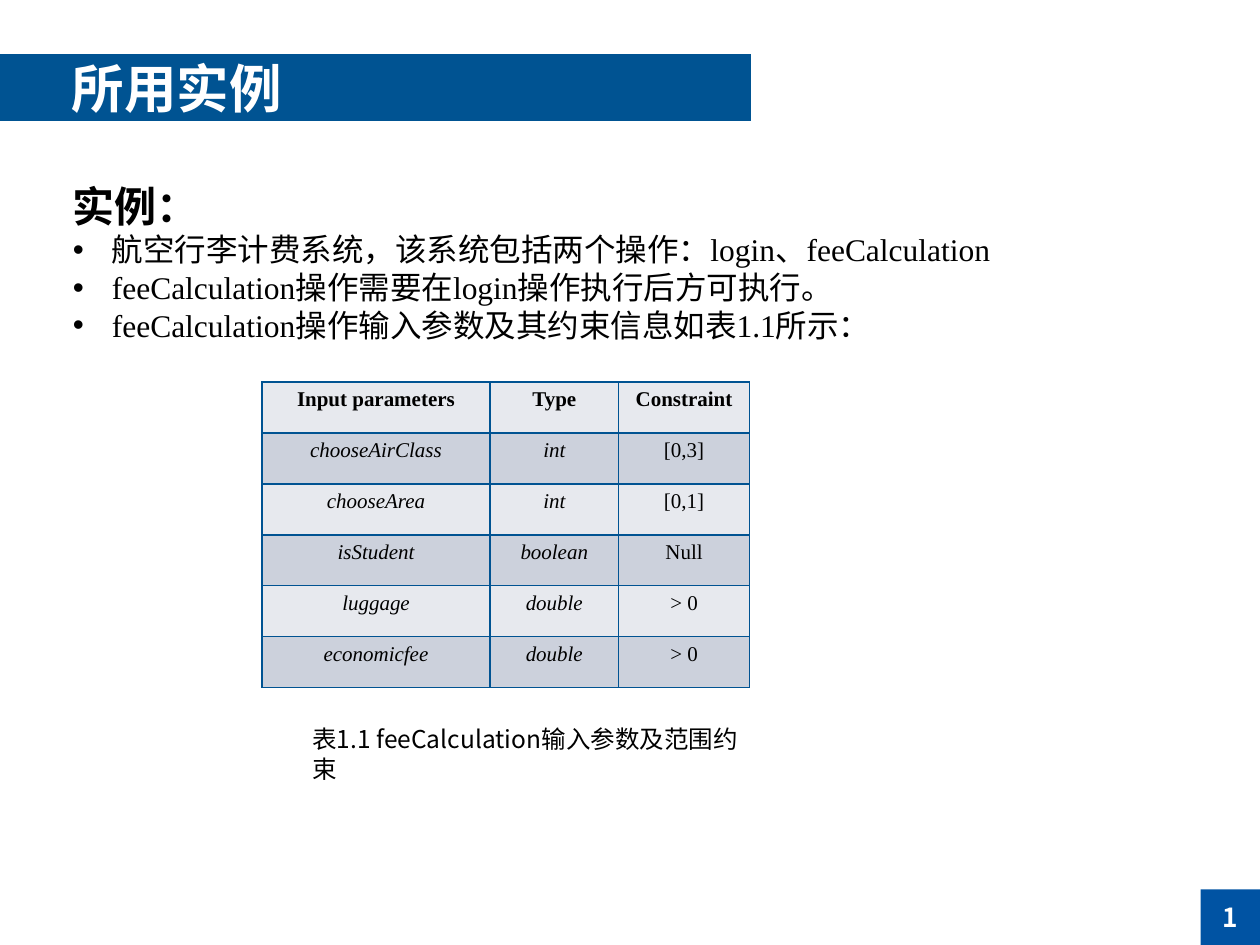
from dataclasses import dataclass

from lxml import etree
from pptx import Presentation
from pptx import util as u
from pptx.dml.color import RGBColor
from pptx.enum import shapes, text
from pptx.oxml import ns


@dataclass(frozen=True)
class Theme:
    """Colours, fonts and type sizes of the slide."""
    banner: str = "005392"
    badge: str = "0053A3"
    light: str = "FFFFFF"
    dark: str = "000000"
    bands: tuple = ("E7E9EE", "CCD1DC")
    title_font: str = "Noto Sans CJK JP"
    body_font: str = "Noto Sans CJK SC"
    serif: str = "Times New Roman"
    title: int = 30
    heading: int = 24
    body: int = 18
    badge_size: int = 15
    caption: int = 14
    cell: int = 12


THEME = Theme()
PARAMETERS = [
    ("Input parameters", "Type", "Constraint"),
    ("chooseAirClass", "int", "[0,3]"),
    ("chooseArea", "int", "[0,1]"),
    ("isStudent", "boolean", "Null"),
    ("luggage", "double", "> 0"),
    ("economicfee", "double", "> 0"),
]
POINTS = [
    [("航空行李计费系统，该系统包括两个操作", THEME.body_font),
     ("：login、feeCalculation", THEME.serif)],
    [("feeCalculation操作需要在login操作执行后方可执行。", THEME.serif)],
    [("feeCalculation操作输入参数及其约束信息如表1.1所示：", THEME.serif)],
]


def apply(target, values):
    """Set each attribute in values on target."""
    for name, value in values.items():
        setattr(target, name, value)


def add_run(paragraph, wording, size, font=THEME.body_font, color=THEME.dark,
            east_asian=THEME.body_font, **styles):
    """Append formatted text with Latin and East Asian fonts."""
    run = paragraph.add_run()
    run.text = wording
    apply(run.font, {"name": font, "size": u.Pt(size), **styles})
    run.font.color.rgb = RGBColor.from_string(color)
    latin = run.font._element.find(ns.qn("a:latin"))
    latin.addnext(etree.Element(ns.qn("a:ea"), typeface=east_asian))


def add_panel(slide, box, color):
    """Add a plain filled rectangle and return its first paragraph."""
    panel = slide.shapes.add_shape(shapes.MSO_SHAPE.RECTANGLE, *map(u.Inches, box))
    panel.shadow.inherit = False
    panel.fill.solid()
    panel.fill.fore_color.rgb = RGBColor.from_string(color)
    panel.line.fill.background()
    panel.text_frame.vertical_anchor = text.MSO_ANCHOR.MIDDLE
    return panel.text_frame


def add_text_area(slide, box):
    """Add a wrapping text box and return its text frame."""
    frame = slide.shapes.add_textbox(*map(u.Inches, box)).text_frame
    apply(frame, {"word_wrap": True, "auto_size": text.MSO_AUTO_SIZE.SHAPE_TO_FIT_TEXT})
    return frame


def add_bullet(frame, parts):
    """Append a bulleted paragraph with a hanging indent."""
    point = frame.add_paragraph()
    properties = point._p.get_or_add_pPr()
    indent = u.Inches(0.31)
    properties.set("marL", str(indent))
    properties.set("indent", str(-indent))
    etree.SubElement(properties, ns.qn("a:buFont"), typeface="Arial")
    etree.SubElement(properties, ns.qn("a:buChar"), char="•")
    for wording, font in parts:
        add_run(point, wording, THEME.body, font)


def style_cell(cell, band):
    """Give a cell its borders and band colour."""
    properties = cell._tc.get_or_add_tcPr()
    for side in ("a:lnL", "a:lnR", "a:lnT", "a:lnB"):
        border = etree.SubElement(properties, ns.qn(side), w=str(u.Pt(1)))
        paint = etree.SubElement(border, ns.qn("a:solidFill"))
        etree.SubElement(paint, ns.qn("a:srgbClr"), val=THEME.banner)
    cell.fill.solid()
    cell.fill.fore_color.rgb = RGBColor.from_string(band)


def add_parameter_table(slide):
    """Add the table of inputs, with an italic name and type."""
    box = map(u.Inches, (2.08, 3.03, 3.87, 2.43))
    table = slide.shapes.add_table(len(PARAMETERS), 3, *box).table
    for column, width in zip(table.columns, (1.81, 1.02, 1.04)):
        column.width = u.Inches(width)
    for r, record in enumerate(PARAMETERS):
        for c, wording in enumerate(record):
            cell = table.cell(r, c)
            style_cell(cell, THEME.bands[r % 2])
            entry = cell.text_frame.paragraphs[0]
            entry.alignment = text.PP_ALIGN.CENTER
            add_run(entry, wording, THEME.cell, THEME.serif,
                    bold=r == 0, italic=r > 0 and c < 2)


def add_banner(slide):
    """Add the title band."""
    frame = add_panel(slide, (0, 0.43, 5.96, 0.53), THEME.banner)
    apply(frame, {"margin_left": u.Inches(0.07), "margin_right": u.Inches(0.07),
                  "margin_top": u.Inches(0.04), "margin_bottom": u.Inches(0.04)})
    title = frame.paragraphs[0]
    title.alignment = text.PP_ALIGN.LEFT
    add_run(title, "\t所用实例", THEME.title, THEME.title_font, THEME.light,
            THEME.title_font, bold=True)


def add_page_badge(slide):
    """Add the page number in the corner."""
    number = add_panel(slide, (9.53, 7.06, 0.47, 0.44), THEME.badge).paragraphs[0]
    number.alignment = text.PP_ALIGN.CENTER
    add_run(number, "1", THEME.badge_size, color=THEME.light, bold=True)


def add_example(slide):
    """Add the heading and the points on the example system."""
    example = add_text_area(slide, (0.48, 1.38, 8.38, 1.41))
    add_run(example.paragraphs[0], "实例：", THEME.heading, bold=True)
    for parts in POINTS:
        add_bullet(example, parts)


def main():
    """Build and save the slide."""
    deck = Presentation()
    apply(deck, {"slide_width": u.Inches(10), "slide_height": u.Inches(7.5)})
    slide = deck.slides.add_slide(deck.slide_layouts[6])
    add_banner(slide)
    add_page_badge(slide)
    add_example(slide)
    add_parameter_table(slide)
    caption = add_text_area(slide, (2.38, 5.7, 3.58, 0.34))
    add_run(caption.paragraphs[0], "表1.1 feeCalculation输入参数及范围约束", THEME.caption)
    deck.save("out.pptx")


main()
